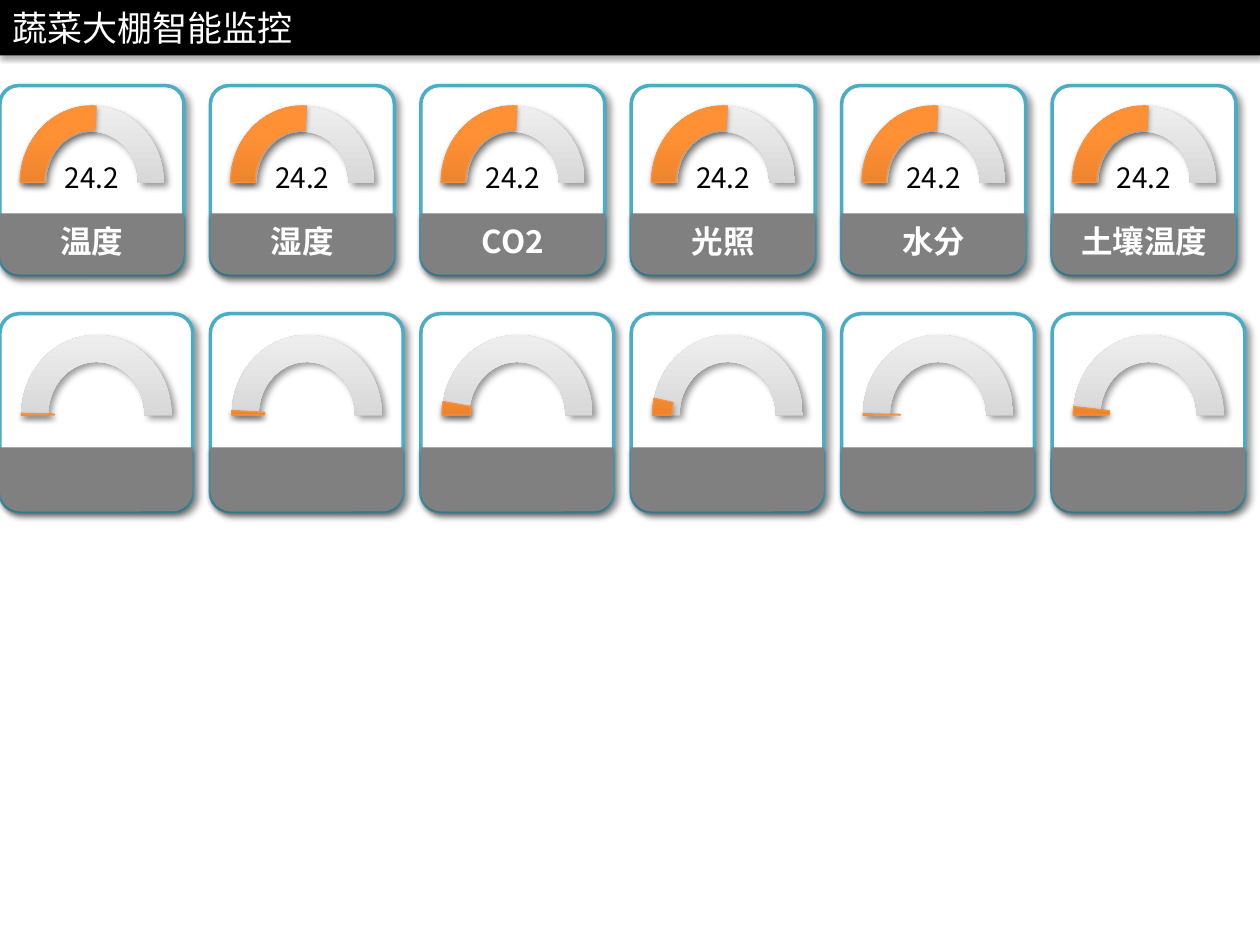
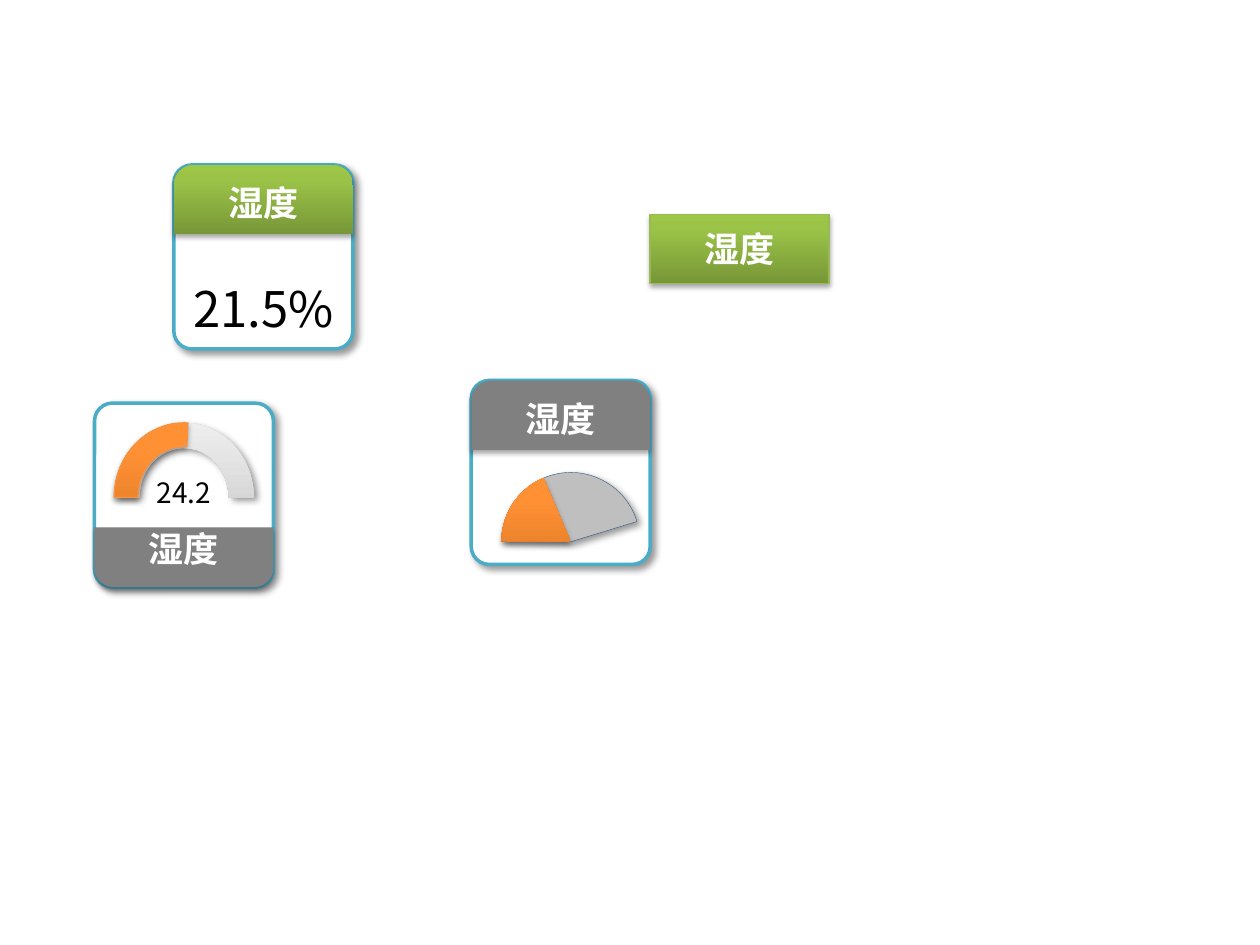
import copy

import pptx
import pptx.dml.color
import pptx.enum.shapes
import pptx.enum.text
import pptx.oxml
import pptx.oxml.ns
import pptx.util

Inches = pptx.util.Inches
Pt = pptx.util.Pt
SHAPE = pptx.enum.shapes.MSO_SHAPE
ANCHOR = pptx.enum.text.MSO_ANCHOR
ALIGN = pptx.enum.text.PP_ALIGN

# Content
TITLE = "蔬菜大棚智能监控"
READING = "24.2"
SENSORS = ["温度", "湿度", "CO2", "光照", "水分", "土壤温度"]
# End angle in degrees and ring thickness of each unlabelled gauge
EMPTY_GAUGES = [(181.27, 0.22), (183.43, 0.22), (190.3, 0.19),
                (192.83, 0.13), (180.87, 0.25), (186.35, 0.24)]
HUMIDITY = "湿度"
HUMIDITY_READING = "21.5%"

# Style
FONT = "Noto Sans CJK SC"
COLORS = {"black": "000000", "white": "FFFFFF", "teal": "4BACC6",
          "band": "808080", "pie": "BFBFBF", "pie_line": "3A5F8C",
          "orange_line": "F69240", "green_line": "98B955"}
GRADIENTS = {
    "gray": [(0, "BDBDBD"), (0.35, "D1D1D1"), (1, "EEEEEE")],
    "orange": [(0, "CC6E20"), (0.8, "FF9034"), (1, "FF9136")],
    "green": [(0, "779737"), (0.8, "9BC348"), (1, "9DC746")],
}
# Opacity in percent, blur and distance in points, direction in degrees
SHADOWS = {"diagonal": (40, 4, 3, 45), "down": (35, 3.1, 1.8, 90)}
COLUMN_PITCH = 1.67
READING_ANGLE = 273.05
START_ANGLE = 180
CARD_RADIUS = 0.1
SMALL_CARD = (1.42, 1.46)
HEADER_HEIGHT = 0.55


def rgb(name):
    return pptx.dml.color.RGBColor.from_string(COLORS.get(name, name))


def angle(degrees):
    """Convert degrees to the unit of a shape adjustment."""
    return degrees * 0.6


def set_gradient(shape, stops):
    shape.fill.gradient()
    shape.fill.gradient_angle = 90
    stop_list = shape._element.spPr.find(".//" + pptx.oxml.ns.qn("a:gsLst"))
    stop_list.append(copy.deepcopy(stop_list[0]))
    for stop, (position, color) in zip(shape.fill.gradient_stops, stops):
        stop.position = position
        stop.color.rgb = rgb(color)


def set_style(shape, fill, line=None, line_width=0.75, shadow="down"):
    if fill in GRADIENTS:
        set_gradient(shape, GRADIENTS[fill])
    else:
        shape.fill.solid()
        shape.fill.fore_color.rgb = rgb(fill)
    if line:
        shape.line.color.rgb = rgb(line)
        shape.line.width = Pt(line_width)
    else:
        shape.line.fill.background()
    opacity, blur, distance, direction = SHADOWS[shadow]
    shape.shadow.inherit = False
    effects = shape._element.spPr.find(pptx.oxml.ns.qn("a:effectLst"))
    effects.append(pptx.oxml.parse_xml(
        f'<a:outerShdw {pptx.oxml.ns.nsdecls("a")} blurRad="{Pt(blur)}" dist="{Pt(distance)}" '
        f'dir="{direction * 60000}" algn="tl" rotWithShape="0">'
        f'<a:srgbClr val="{COLORS["black"]}"><a:alpha val="{opacity * 1000}"/></a:srgbClr>'
        "</a:outerShdw>"))


def set_text(shape, text, size=20, color="white", bold=False, align=ALIGN.CENTER,
             anchor=ANCHOR.MIDDLE, top=0.05, bottom=0.05, wrap=True):
    frame = shape.text_frame
    frame.auto_size = pptx.enum.text.MSO_AUTO_SIZE.NONE
    frame.word_wrap = wrap
    frame.vertical_anchor = anchor
    frame.margin_left = frame.margin_right = Inches(0.1)
    frame.margin_top, frame.margin_bottom = Inches(top), Inches(bottom)
    paragraph = frame.paragraphs[0]
    paragraph.alignment = align
    run = paragraph.add_run()
    run.text = text
    run.font.name = FONT
    run.font.size = Pt(size)
    run.font.bold = bold
    run.font.color.rgb = rgb(color)
    east_asian = run._r.get_or_add_rPr().makeelement(
        pptx.oxml.ns.qn("a:ea"), {"typeface": FONT})
    run.font._element.find(pptx.oxml.ns.qn("a:latin")).addnext(east_asian)


def add_part(shapes, kind, box, adjustments=(), **style):
    shape = shapes.add_shape(kind, *(Inches(length) for length in box))
    for index, value in enumerate(adjustments):
        shape.adjustments[index] = value
    set_style(shape, **style)
    return shape


def add_card(shapes, box):
    return add_part(shapes, SHAPE.ROUNDED_RECTANGLE, box, [CARD_RADIUS],
                    fill="white", line="teal", line_width=2, shadow="diagonal")


def add_gauge_card(slide, box, end_angle, thickness, label=None, **label_format):
    """Draw a card with a half-ring gauge and a label band at its foot."""
    left, top, width, height = box
    shapes = slide.shapes.add_group_shape().shapes
    card = add_card(shapes, box)
    band_height = width / 3
    band = add_part(shapes, SHAPE.ROUND_2_SAME_RECTANGLE,
                    (left, top + height - band_height, width, band_height),
                    [0, 0.32], fill="band")
    if label:
        set_text(card, READING, size=16, color="black", top=0, wrap=False)
        set_text(band, label, bold=True, top=0, wrap=False, **label_format)
    margin = 0.11 * width
    ring = (left + margin, top + margin, 0.78 * width, 0.81 * height)
    add_part(shapes, SHAPE.BLOCK_ARC, ring, [angle(START_ANGLE), 0, 0.18],
             fill="gray", shadow="diagonal")
    add_part(shapes, SHAPE.BLOCK_ARC, ring,
             [angle(START_ANGLE), angle(end_angle), thickness],
             fill="orange", line="orange_line")


def add_header_card(slide, left, top, header_fill):
    """Draw a card with a label band at its head."""
    shapes = slide.shapes.add_group_shape().shapes
    card = add_card(shapes, (left, top, *SMALL_CARD))
    header = add_part(shapes, SHAPE.ROUND_2_SAME_RECTANGLE,
                      (left, top, SMALL_CARD[0], HEADER_HEIGHT), [0.29, 0], fill=header_fill)
    set_text(header, HUMIDITY, bold=True)
    return card


def build_dashboard(presentation):
    slide = presentation.slides.add_slide(presentation.slide_layouts[5])
    title = slide.shapes.title
    title.left, title.top = 0, 0
    title.width, title.height = presentation.slide_width, Inches(0.44)
    set_style(title, "black")
    set_text(title, TITLE, align=ALIGN.LEFT, anchor=ANCHOR.TOP)
    for column, label in enumerate(SENSORS):
        add_gauge_card(slide, (column * COLUMN_PITCH, 0.68, 1.46, 1.5),
                       READING_ANGLE, 0.17, label, size=18, bottom=0)
    for column, (end_angle, thickness) in enumerate(EMPTY_GAUGES):
        add_gauge_card(slide, (column * COLUMN_PITCH, 2.49, 1.53, 1.57),
                       end_angle, thickness)


def build_card_variants(presentation):
    slide = presentation.slides.add_slide(presentation.slide_layouts[6])
    button = add_part(slide.shapes, SHAPE.RECTANGLE,
                      (5.16, 1.7, SMALL_CARD[0], HEADER_HEIGHT),
                      fill="green", line="green_line")
    set_text(button, HUMIDITY, bold=True)

    reading_card = add_header_card(slide, 1.38, 1.31, "green")
    set_text(reading_card, HUMIDITY_READING, size=28, color="black", anchor=ANCHOR.BOTTOM)

    add_header_card(slide, 3.74, 3.02, "band")
    pie_shapes = slide.shapes.add_group_shape().shapes
    pie_box = (3.98, 3.75, 1.1, 1.1)
    pie_start = angle(180.43)
    add_part(pie_shapes, SHAPE.PIE, pie_box, [pie_start, angle(343.02)],
             fill="pie", line="pie_line", line_width=0.25, shadow="diagonal")
    add_part(pie_shapes, SHAPE.PIE, pie_box, [pie_start, angle(246.86)], fill="orange")

    add_gauge_card(slide, (0.75, 3.2, *SMALL_CARD), READING_ANGLE, 0.17,
                   HUMIDITY, anchor=ANCHOR.TOP)


def main():
    presentation = pptx.Presentation()
    presentation.slide_width, presentation.slide_height = Inches(10), Inches(7.5)
    build_dashboard(presentation)
    build_card_variants(presentation)
    presentation.save("out.pptx")


if __name__ == "__main__":
    main()
